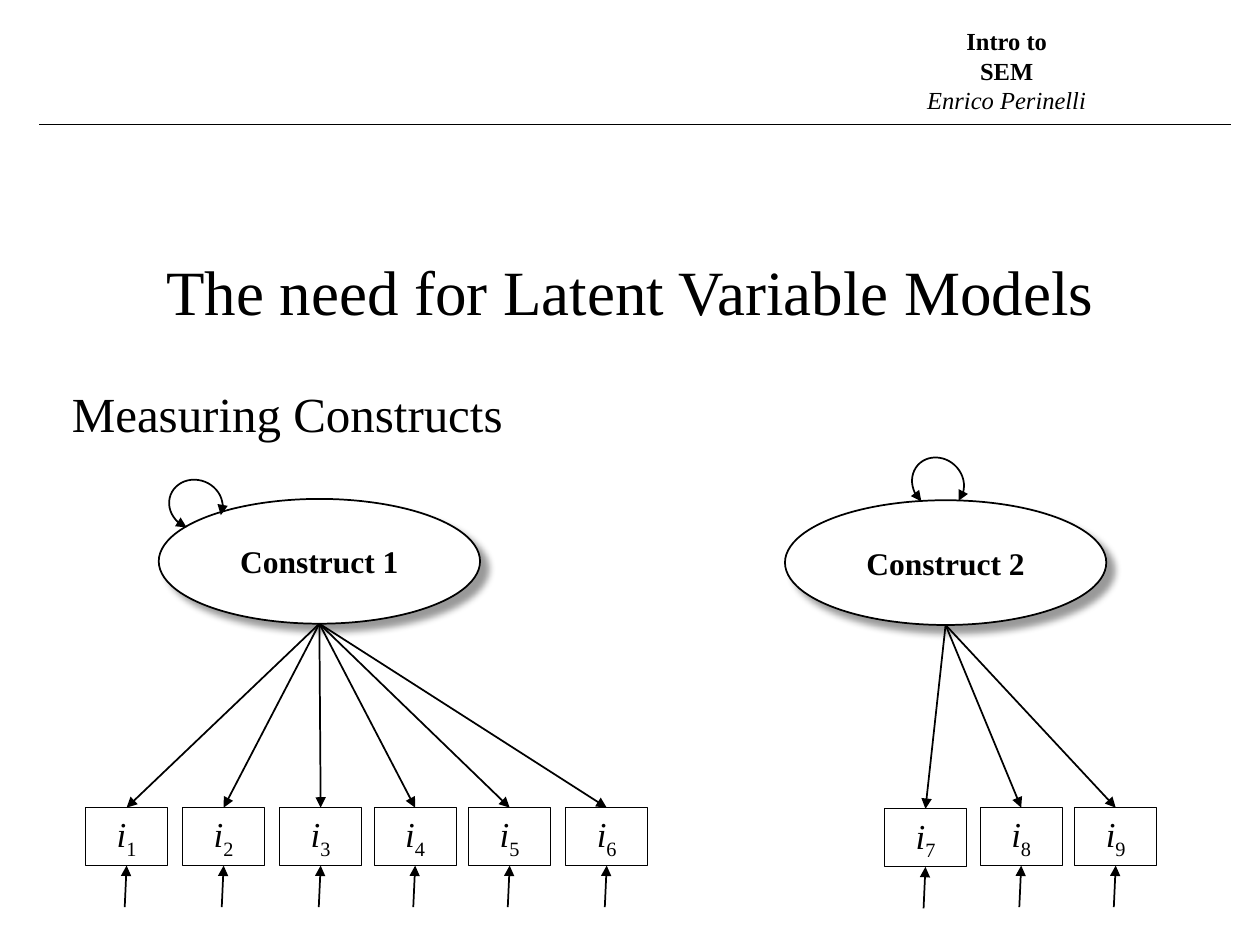
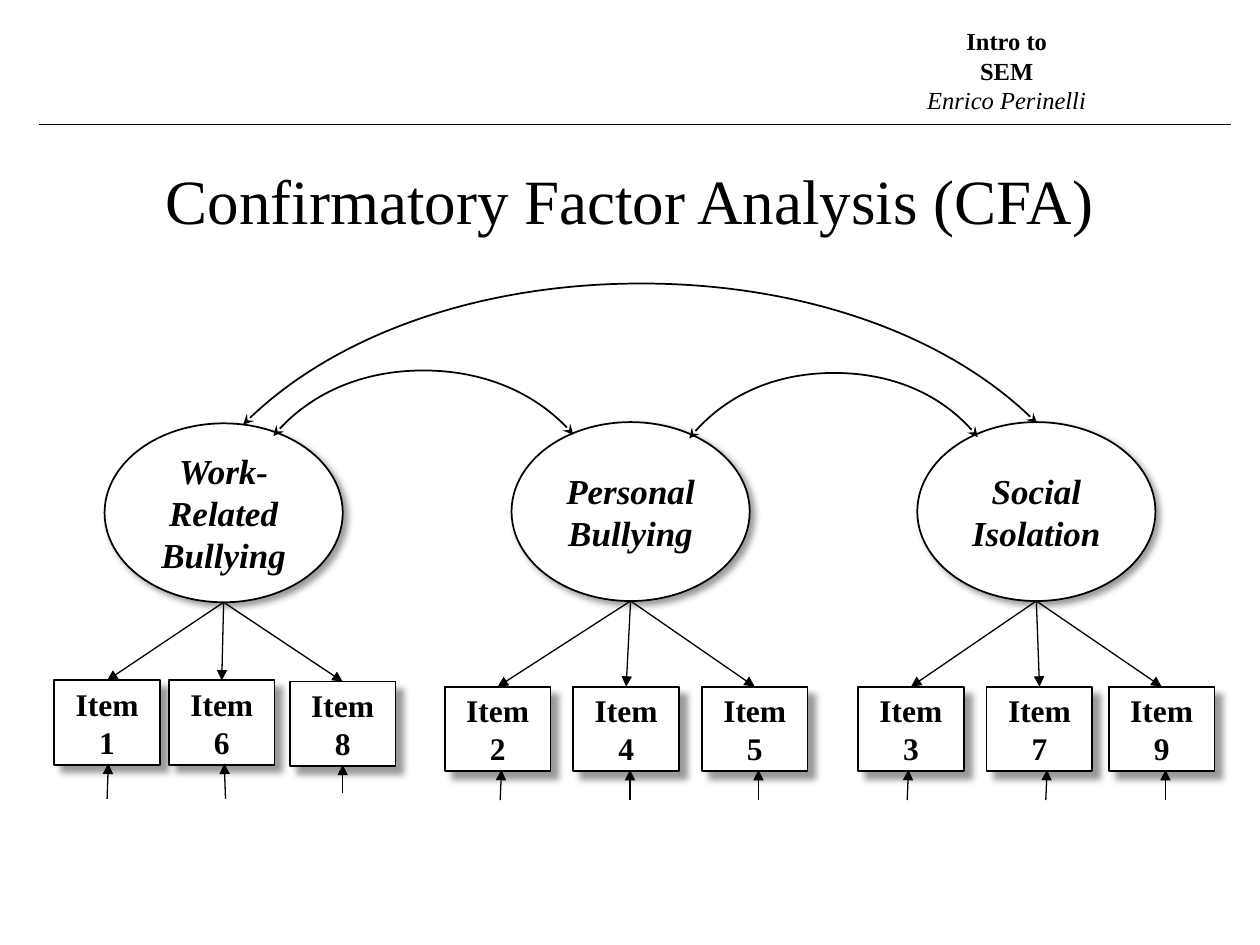
import dataclasses

import lxml.etree
import pptx
import pptx.dml.color
import pptx.enum.shapes
import pptx.enum.text
import pptx.oxml.ns
import pptx.util

Inches = pptx.util.Inches
Pt = pptx.util.Pt
qn = pptx.oxml.ns.qn
KIND = pptx.enum.shapes.MSO_SHAPE
ALIGN = pptx.enum.text.PP_ALIGN
ANCHOR = pptx.enum.text.MSO_ANCHOR
TOP, BOTTOM = 0, 2


@dataclasses.dataclass(frozen=True)
class Theme:
    font: str = "Times New Roman"
    ink: pptx.dml.color.RGBColor = pptx.dml.color.RGBColor(0, 0, 0)
    paper: pptx.dml.color.RGBColor = pptx.dml.color.RGBColor(255, 255, 255)
    title: int = 36
    lead: int = 28
    large: int = 20
    label: int = 18
    head: int = 14
    thin: float = 0.5
    fine: float = 0.75
    line: float = 1


THEME = Theme()


# Text
def add_run(para, text, size, bold=False, slant=False):
    run = para.add_run()
    run.text = text
    font = run.font
    font.name, font.size = THEME.font, Pt(size)
    font.bold, font.italic = bold, slant
    font.color.rgb = THEME.ink
    return run


def set_title(slide, text, top, high):
    title = slide.shapes.title
    title.left, title.top = Inches(0.47), Inches(top)
    title.width, title.height = Inches(9.06), Inches(high)
    frame = title.text_frame
    frame.auto_size = pptx.enum.text.MSO_AUTO_SIZE.NONE
    frame.vertical_anchor = ANCHOR.TOP
    para = frame.paragraphs[0]
    para.alignment = ALIGN.CENTER
    add_run(para, text, THEME.title)


def add_lead(slide, text):
    para = slide.shapes.title.text_frame.add_paragraph()
    para.alignment = ALIGN.LEFT
    para.space_before = Pt(32)
    add_run(para, text, THEME.lead)


# Lines and outlines
def set_line(shape, width, head=None, tail=None):
    shape.line.color.rgb = THEME.ink
    shape.line.width = Pt(width)
    stroke = shape.element.spPr.find(qn("a:ln"))
    for tag, kind in (("a:headEnd", head), ("a:tailEnd", tail)):
        if kind:
            lxml.etree.SubElement(stroke, qn(tag), type=kind)


def add_line(slide, start, end, width, tail=None):
    line = slide.shapes.add_connector(
        pptx.enum.shapes.MSO_CONNECTOR.STRAIGHT, *map(Inches, (*start, *end)))
    set_line(line, width, tail=tail)
    lxml.etree.SubElement(line.element.spPr, qn("a:effectLst"))
    return line


def add_shade(shape, offset):
    effects = shape.element.spPr.find(qn("a:effectLst"))
    shade = lxml.etree.SubElement(
        effects, qn("a:outerShdw"), blurRad=str(Pt(4)), dist=str(Pt(offset)),
        dir=str(45 * 60000), algn="tl", rotWithShape="0")
    tint = lxml.etree.SubElement(shade, qn("a:srgbClr"), val=str(THEME.ink))
    lxml.etree.SubElement(tint, qn("a:alpha"), val="40000")


# Nodes of the diagrams
def add_node(slide, kind, box, width, shade=0):
    node = slide.shapes.add_shape(kind, *map(Inches, box))
    node.fill.solid()
    node.fill.fore_color.rgb = THEME.paper
    set_line(node, width)
    node.shadow.inherit = False
    if shade:
        add_shade(node, shade)
    frame = node.text_frame
    frame.word_wrap = True
    frame.vertical_anchor = ANCHOR.MIDDLE
    frame.paragraphs[0].alignment = ALIGN.CENTER
    return node, frame.paragraphs[0]


def add_path(slide, source, node, width):
    """Arrow from the foot of an oval to the top of a box."""
    x, y, wide, high = source
    arrow = add_line(slide, (x + wide / 2, y + high), (x, y), width, "triangle")
    arrow.end_connect(node, TOP)


def add_loop(slide, x, y, turn, sweep):
    """Double-headed arc for the variance of a construct."""
    loop = slide.shapes.add_shape(KIND.ARC, *map(Inches, (x, y, 0.39, 0.43)))
    loop.adjustments[0], loop.adjustments[1] = 108.38, sweep
    loop.rotation = turn
    loop.fill.background()
    loop.shadow.inherit = False
    set_line(loop, THEME.line, "triangle", "triangle")


def add_curve(slide, knots):
    """Double-headed smooth curve that links two factors."""
    start, *rest = [tuple(map(Inches, knot)) for knot in knots]
    pen = slide.shapes.build_freeform(*start)
    pen.add_line_segments(rest, close=False)
    curve = pen.convert_to_shape()
    # Turn each three straight steps into one cubic step
    steps = list(curve.element.iter(qn("a:lnTo")))
    for first in range(0, len(steps), 3):
        bend = lxml.etree.SubElement(steps[0].getparent(), qn("a:cubicBezTo"))
        for step in steps[first:first + 3]:
            bend.append(step[0])
    for step in steps:
        step.getparent().remove(step)
    curve.fill.background()
    curve.shadow.inherit = False
    set_line(curve, THEME.line, "stealth", "stealth")


# Slides
def add_slide(deck, title, top, high):
    slide = deck.slides.add_slide(deck.slide_layouts[5])
    set_title(slide, title, top, high)
    add_line(slide, (0.31, 0.99), (9.77, 0.99), THEME.fine)
    box = slide.shapes.add_textbox(*map(Inches, (7.25, 0.16, 1.48, 0.81)))
    frame = box.text_frame
    frame.word_wrap = False
    for row, text in enumerate(("Intro to", "SEM", "Enrico Perinelli")):
        para = frame.add_paragraph() if row else frame.paragraphs[0]
        para.alignment = ALIGN.CENTER
        add_run(para, text, THEME.head, bold=row < 2, slant=row == 2)
    return slide


def add_construct(slide, name, oval, items):
    """Oval with its numbered indicator boxes: number, left and top."""
    _, para = add_node(slide, KIND.OVAL, oval, THEME.line, shade=6)
    add_run(para, name, THEME.label, bold=True)
    for number, x, y in items:
        box, para = add_node(slide, KIND.RECTANGLE, (x, y, 0.65, 0.46), THEME.thin)
        add_run(para, "i", THEME.large, slant=True)
        index = add_run(para, str(number), THEME.large)
        index.font._element.set("baseline", "-25000")
        add_path(slide, oval, box, THEME.line)
        error = add_line(slide, (x + 0.31, y + 0.79), (x, y), THEME.line, "triangle")
        error.end_connect(box, BOTTOM)


def add_factor(slide, name, oval, items):
    """Oval with item boxes: number, left, top, and error foot x, y and tip x."""
    _, para = add_node(slide, KIND.OVAL, oval, THEME.line, shade=3)
    add_run(para, name, THEME.large, bold=True, slant=True)
    for number, x, y, foot, low, tip in items:
        box, para = add_node(
            slide, KIND.RECTANGLE, (x, y, 0.84, 0.67), THEME.line, shade=6)
        add_run(para, f"Item {number}", THEME.label, bold=True)
        add_path(slide, oval, box, THEME.fine)
        add_line(slide, (foot, low), (tip, y + 0.66), THEME.fine, "triangle")


def build_need(deck):
    slide = add_slide(deck, "The need for Latent Variable Models", 1.95, 1.65)
    add_lead(slide, "Measuring Constructs")
    lefts = (0.68, 1.45, 2.22, 2.97, 3.72, 4.49)
    add_construct(slide, "Construct 1", (1.26, 3.96, 2.55, 0.99),
                  [(number, x, 6.41) for number, x in enumerate(lefts, 1)])
    add_construct(slide, "Construct 2", (6.23, 3.97, 2.55, 0.99),
                  [(7, 7.02, 6.42), (8, 7.78, 6.41), (9, 8.53, 6.41)])
    add_loop(slide, 1.36, 3.79, 291.4, 54.93)
    add_loop(slide, 7.25, 3.62, 312, 53.2)


def build_factors(deck):
    slide = add_slide(deck, "Confirmatory Factor Analysis (CFA)", 1.23, 0.71)
    factors = (
        ("Work-Related Bullying", 0.83, 3.36,
         [(1, 0.43, 5.4, 0.85, 6.34, 0.86), (6, 1.34, 5.4, 1.79, 6.34, 1.78),
          (8, 2.3, 5.41, 2.72, 6.29, 2.72)]),
        ("Personal Bullying", 4.06, 3.35,
         [(2, 3.53, 5.45, 3.97, 6.35, 3.98), (4, 4.55, 5.45, 5, 6.35, 5),
          (5, 5.57, 5.45, 6.02, 6.35, 6.02)]),
        ("Social Isolation", 7.28, 3.35,
         [(3, 6.81, 5.45, 7.2, 6.35, 7.21), (7, 7.83, 5.45, 8.3, 6.35, 8.31),
          (9, 8.8, 5.45, 9.25, 6.35, 9.25)]),
    )
    for name, x, y, items in factors:
        add_factor(slide, name, (x, y, 1.89, 1.42), items)
    # Links between the factors
    links = (
        ((2.17, 3.46), (2.43, 3.14), (2.88, 2.94), (3.36, 2.94),
         (3.84, 2.94), (4.29, 3.14), (4.55, 3.45)),
        ((5.47, 3.48), (5.72, 3.16), (6.15, 2.96), (6.62, 2.96),
         (7.08, 2.96), (7.51, 3.15), (7.76, 3.47)),
        ((1.93, 3.37), (2.61, 2.68), (3.8, 2.25), (5.09, 2.25),
         (6.36, 2.25), (7.55, 2.67), (8.23, 3.36)),
    )
    for knots in links:
        add_curve(slide, knots)


def main():
    deck = pptx.Presentation()
    deck.slide_width, deck.slide_height = Inches(10), Inches(7.5)
    build_need(deck)
    build_factors(deck)
    deck.save("out.pptx")


if __name__ == "__main__":
    main()
